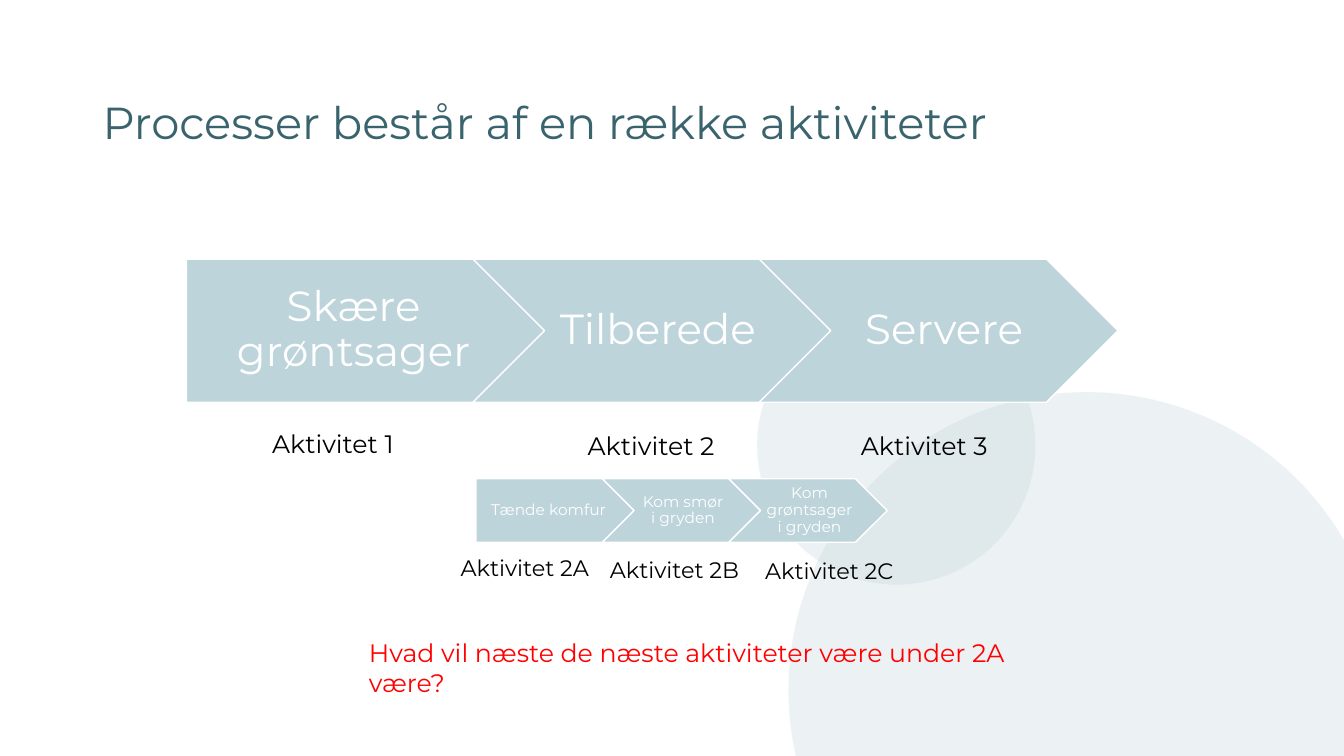
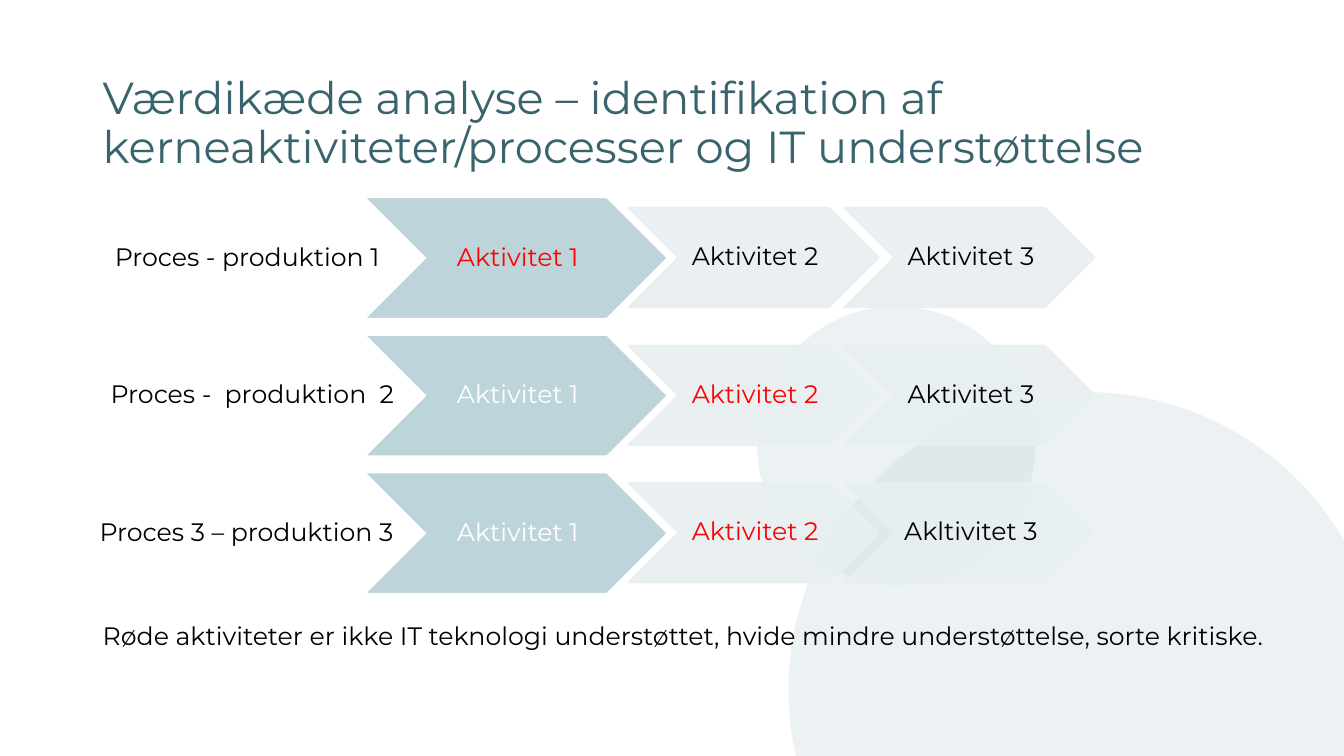
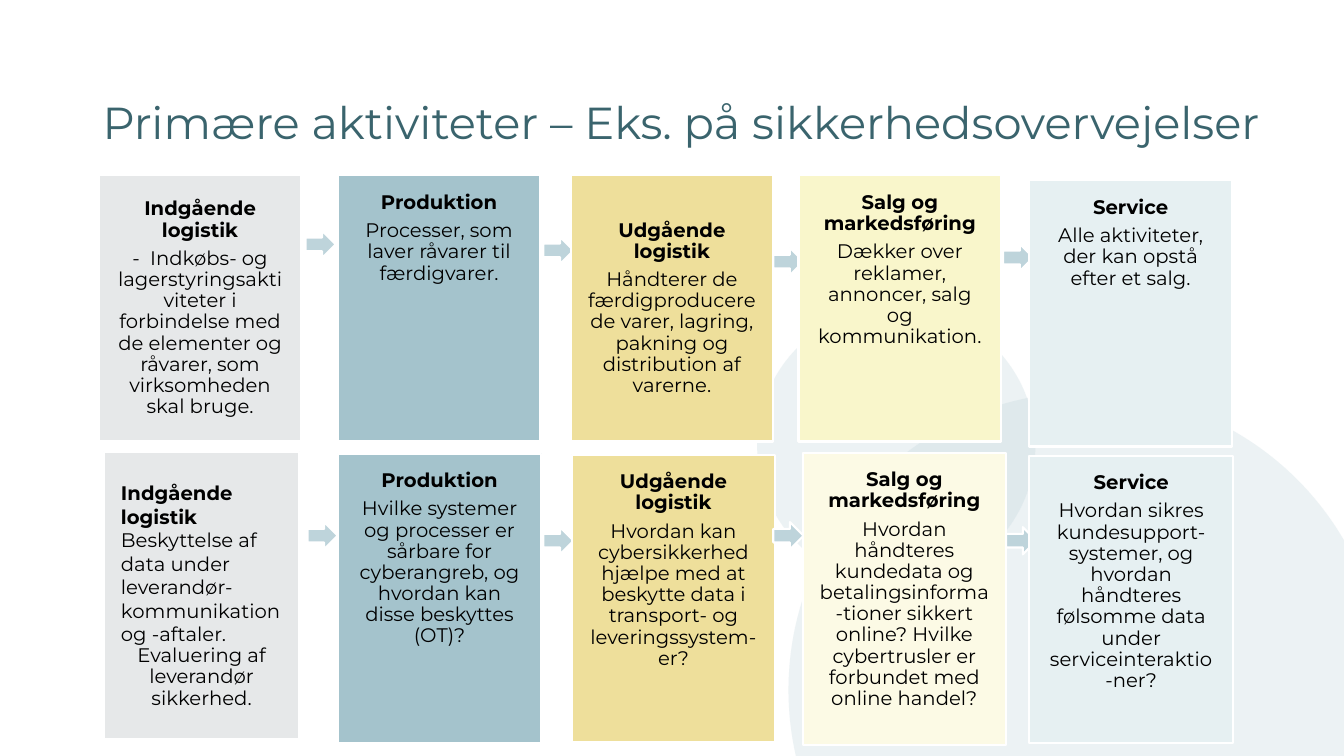
from lxml import etree
from pptx import Presentation
from pptx.dml.color import RGBColor
from pptx.enum.shapes import MSO_SHAPE
from pptx.enum.text import MSO_ANCHOR, PP_ALIGN
from pptx.oxml.ns import qn
from pptx.util import Inches, Pt

ELLIPSE = MSO_SHAPE.OVAL
RECTANGLE = MSO_SHAPE.RECTANGLE
PENTAGON = MSO_SHAPE.PENTAGON
CHEVRON = MSO_SHAPE.CHEVRON
ARROW = MSO_SHAPE.RIGHT_ARROW
TOP, MIDDLE = MSO_ANCHOR.TOP, MSO_ANCHOR.MIDDLE
LEFT, CENTER = PP_ALIGN.LEFT, PP_ALIGN.CENTER

COLORS = {
    "title": "3A646D",
    "teal": "BED4DB",
    "pale": "E8EFF1",
    "white": "FFFFFF",
    "black": "000000",
    "red": "FF0000",
    "grey": "E6E8E9",
    "blue": "A4C3CC",
    "gold": "EEDF9B",
    "yellow": "F9F6CB",
    "cream": "FCFAE5",
    "mist": "E6F0F2",
}


class Deck:
    font = "Montserrat"
    circles = [(7.82, 3.89, 5.91), (7.51, 3.04, 2.76)]

    def __init__(self):
        self.prs = Presentation()
        self.prs.slide_width = Inches(13.33)
        self.prs.slide_height = Inches(7.5)
        self.slide = None

    def color(self, name):
        return RGBColor.from_string(COLORS[name])

    def new_slide(self, title):
        self.slide = self.prs.slides.add_slide(self.prs.slide_layouts[6])
        for x, y, size in self.circles * 2:
            self.shape(ELLIPSE, (x, y, size, size), "teal", alpha=15)
        self.label(title, 0.92, 0.73, 11.75, 32, "title", height=1.01,
                   anchor=MIDDLE, spacing=0.9)

    def shape(self, kind, box, fill, line=None, width=1, alpha=None):
        shape = self.slide.shapes.add_shape(kind, *map(Inches, box))
        shape.shadow.inherit = False
        shape.fill.solid()
        shape.fill.fore_color.rgb = self.color(fill)
        if line:
            shape.line.color.rgb = self.color(line)
            shape.line.width = Pt(width)
        else:
            shape.line.fill.background()
        if alpha:
            for tone in shape._element.spPr.iter(qn("a:srgbClr")):
                etree.SubElement(tone, qn("a:alpha"), val=str(alpha * 1000))
        return shape

    def frame(self, shape, anchor, insets=None, wrap=True):
        frame = shape.text_frame
        frame.word_wrap = wrap
        frame.vertical_anchor = anchor
        if insets:
            (frame.margin_left, frame.margin_top,
             frame.margin_right, frame.margin_bottom) = map(Inches, insets)
        return frame

    def style(self, paragraph, size, color, align=LEFT, spacing=1.0, bold=False):
        paragraph.alignment = align
        paragraph.line_spacing = spacing
        for run in paragraph.runs:
            run.font.name = self.font
            run.font.size = Pt(size)
            run.font.bold = bold
            run.font.color.rgb = self.color(color)

    def label(self, text, x, y, width, size=18, color="black", height=0.4,
              anchor=TOP, wrap=True, spacing=1.0):
        box = self.slide.shapes.add_textbox(*map(Inches, (x, y, width, height)))
        frame = self.frame(box, anchor, wrap=wrap)
        frame.text = text
        self.style(frame.paragraphs[0], size, color, spacing=spacing)

    def step(self, text, box, size, insets, kind=CHEVRON, fill="teal",
             line="white", color="white", alpha=None):
        step = self.shape(kind, box, fill, line, alpha=alpha)
        frame = self.frame(step, MIDDLE, insets)
        frame.text = text
        self.style(frame.paragraphs[0], size, color, CENTER, 0.9)

    def chain(self, steps, x, y, width, height, pitch, size, insets):
        for i, text in enumerate(steps):
            self.step(text, (x + i * pitch, y, width, height), size, insets,
                      kind=CHEVRON if i else PENTAGON)

    def card(self, box, fill, anchor, heading, body, plain_lines=None):
        card = self.shape(RECTANGLE, box, fill, "white", 1.5)
        frame = self.frame(card, anchor, (0.17,) * 4)
        lines = [heading, *(plain_lines or []), body]
        for i, text in enumerate(lines):
            paragraph = frame.paragraphs[0] if i == 0 else frame.add_paragraph()
            paragraph.text = text
            if plain_lines and text != body:
                self.style(paragraph, 14, "black", bold=i == 0)
            else:
                self.style(paragraph, 14, "black", CENTER, 0.9, bold=i == 0)
                paragraph.space_after = Pt(5)

    def arrow(self, x, y):
        self.shape(ARROW, (x, y, 0.3, 0.27), "teal", "white", 1.5)


def activities_slide(deck):
    deck.new_slide("Processer består af en række aktiviteter")
    deck.chain(["Skære grøntsager", "Tilberede", "Servere"],
               1.85, 2.57, 3.56, 1.42, 2.84, 30, (0.15, 0.09, 0.04, 0.09))
    for text, x, y in [("Aktivitet 1", 2.6, 4.2), ("Aktivitet 2", 5.73, 4.22),
                       ("Aktivitet 3", 8.44, 4.22)]:
        deck.label(text, x, y, 1.48, wrap=False)
    deck.chain(["Tænde komfur", "Kom smør i gryden", "Kom grøntsager i gryden"],
               4.72, 4.75, 1.57, 0.63, 1.255, 11, (0.05, 0.03, 0.02, 0.03))
    for text, x, y in [("Aktivitet 2A", 4.47, 5.45), ("Aktivitet 2B", 5.95, 5.47),
                       ("Aktivitet 2C", 7.49, 5.48)]:
        deck.label(text, x, y, 1.62, 16)
    deck.label("Hvad vil næste de næste aktiviteter være under 2A være?",
               3.56, 6.27, 6.86, color="red", height=0.71)


def value_chain_slide(deck):
    deck.new_slide("Værdikæde analyse – identifikation af "
                   "kerneaktiviteter/processer og IT understøttelse")
    processes = [
        ("Proces - produktion 1", 1.04, 2.87, "Aktivitet 3",
         ("red", "black", "black")),
        ("Proces -  produktion  2", 1, 3.06, "Aktivitet 3",
         ("white", "red", "black")),
        ("Proces 3 – produktion 3", 0.89, 3.16, "Akltivitet 3",
         ("white", "red", "black")),
    ]
    insets = (0.03, 0.01, 0, 0.01)
    for row, (name, x, width, last, colors) in enumerate(processes):
        y = 1.96 + row * 1.365
        deck.step("Aktivitet 1", (3.62, y, 3, 1.2), 18, insets, color=colors[0])
        for i, text in enumerate(["Aktivitet 2", last]):
            deck.step(text, (6.23 + i * 2.14, y + 0.1, 2.49, 0.99), 18, insets,
                      fill="pale", line="pale", color=colors[i + 1], alpha=90)
        deck.label(name, x, y + 0.38, width, wrap=False)
    deck.label("Røde aktiviteter er ikke IT teknologi understøttet, "
               "hvide mindre understøttelse, sorte kritiske.",
               0.92, 6.11, 11.89, wrap=False)


def security_slide(deck):
    deck.new_slide("Primære aktiviteter – Eks. på sikkerhedsovervejelser")
    descriptions = [
        ((0.98, 1.74, 2.01, 2.64), "grey", MIDDLE, "Indgående logistik",
         "-  Indkøbs- og lagerstyringsaktiviteter i forbindelse med de elementer "
         "og råvarer, som virksomheden skal bruge."),
        ((3.35, 1.74, 2.01, 2.64), "blue", TOP, "Produktion",
         "Processer, som laver råvarer til færdigvarer."),
        ((5.66, 1.74, 2.01, 2.64), "gold", MIDDLE, "Udgående logistik",
         "Håndterer de færdigproducerede varer, lagring, pakning og "
         "distribution af varerne."),
        ((7.92, 1.74, 2.01, 2.64), "yellow", TOP, "Salg og markedsføring",
         "Dækker over reklamer, annoncer, salg og kommunikation."),
        ((10.21, 1.79, 2.01, 2.64), "mist", TOP, "Service",
         "Alle aktiviteter, der kan opstå efter et salg."),
    ]
    questions = [
        ((1.03, 4.48, 1.94, 2.85), "grey", MIDDLE, "Indgående logistik",
         "Evaluering af leverandør sikkerhed.",
         ["Beskyttelse af data under leverandør-kommunikation og -aftaler."]),
        ((3.35, 4.5, 2.02, 2.87), "blue", TOP, "Produktion",
         "Hvilke systemer og processer er sårbare for cyberangreb, og hvordan "
         "kan disse beskyttes (OT)?"),
        ((5.67, 4.51, 2.02, 2.85), "gold", TOP, "Udgående logistik",
         "Hvordan kan cybersikkerhed hjælpe med at beskytte data i transport- "
         "og leveringssystem-er?"),
        ((7.96, 4.49, 2.02, 2.9), "cream", TOP, "Salg og markedsføring",
         "Hvordan håndteres kundedata og betalingsinforma-tioner sikkert online? "
         "Hvilke cybertrusler er forbundet med online handel?"),
        ((10.21, 4.52, 2.02, 2.85), "mist", TOP, "Service",
         "Hvordan sikres kundesupport-systemer, og hvordan håndteres følsomme "
         "data under serviceinteraktio-ner?"),
    ]
    description_arrows = [(3.03, 2.29), (5.39, 2.35), (7.67, 2.46), (9.95, 2.42)]
    question_arrows = [(3.05, 5.18), (5.39, 5.23), (7.67, 5.18), (9.98, 5.23)]
    for cards, arrows in [(descriptions, description_arrows),
                          (questions, question_arrows)]:
        for i, card in enumerate(cards):
            if i:
                deck.arrow(*arrows[i - 1])
            deck.card(*card)


def main():
    deck = Deck()
    activities_slide(deck)
    value_chain_slide(deck)
    security_slide(deck)
    deck.prs.save("out.pptx")


if __name__ == "__main__":
    main()
